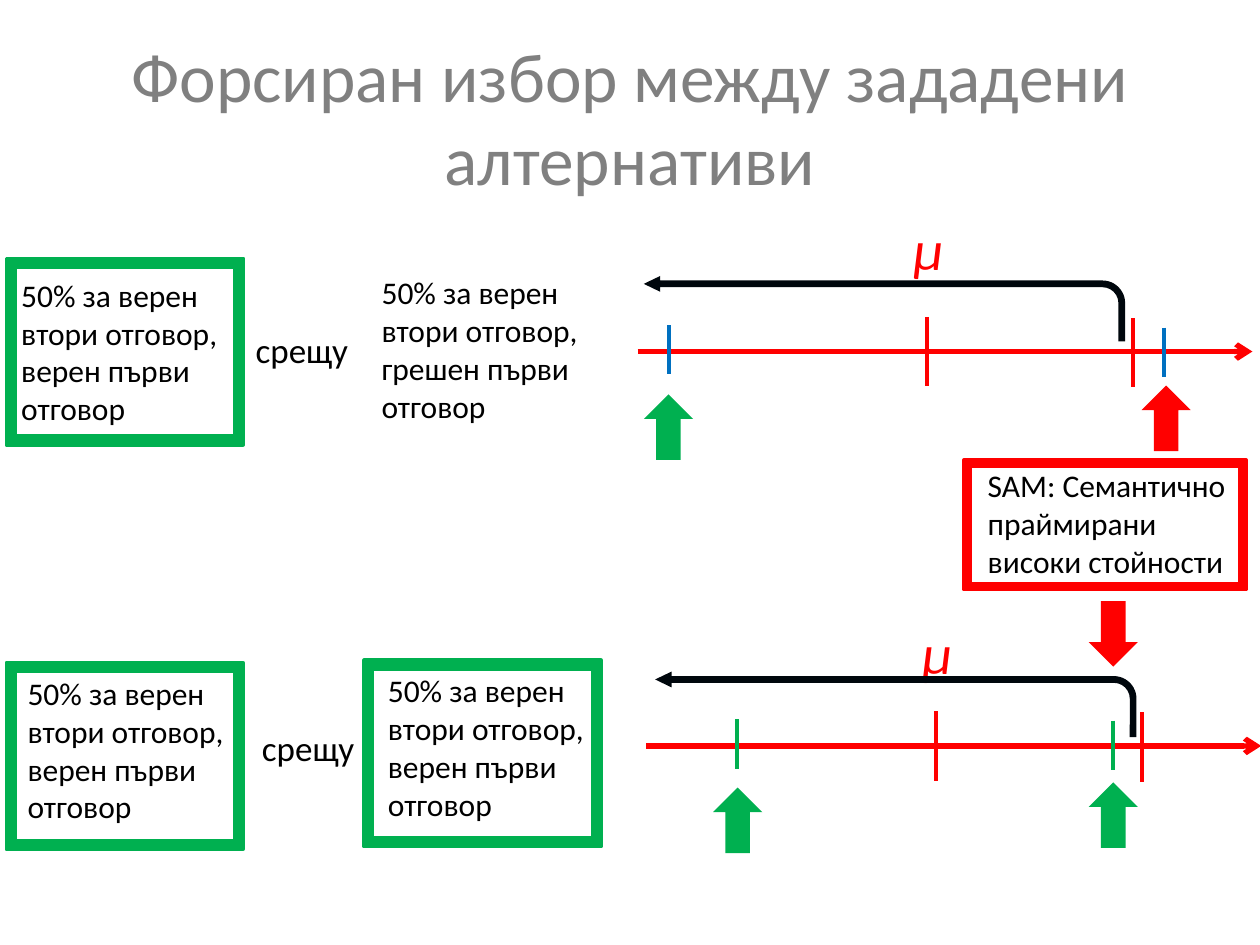
import pptx
import pptx.util
import pptx.dml.color
import pptx.enum.shapes
import pptx.enum.text
import pptx.oxml
import pptx.oxml.ns

COLORS = {"green": "00B050", "red": "FF0000", "blue": "0070C0",
          "grey": "808080", "black": "000000", "ink": "00070D"}
COLS, ROWS = 100, 75
SHAPE = pptx.enum.shapes.MSO_SHAPE


class Deck:
    font = "Calibri"

    def __init__(self):
        self.prs = pptx.Presentation()
        self.prs.slide_width = pptx.util.Inches(10)
        self.prs.slide_height = pptx.util.Inches(7.5)
        self.s = self.prs.slides.add_slide(self.prs.slide_layouts[5])

    def x(self, col):
        return round(self.prs.slide_width * col / COLS)

    def y(self, row):
        return round(self.prs.slide_height * row / ROWS)

    def box(self, x, y, w, h):
        return self.x(x), self.y(y), self.x(w), self.y(h)

    def color(self, name):
        return pptx.dml.color.RGBColor.from_string(COLORS[name])

    def set_text(self, tf, text, size, color, italic=False):
        tf.word_wrap = True
        tf.text = text
        f = tf.paragraphs[0].runs[0].font
        f.name, f.size, f.italic = self.font, pptx.util.Pt(size), italic
        f.color.rgb = self.color(color)

    def title(self, text, *at):
        sp = self.s.shapes.title
        sp.left, sp.top, sp.width, sp.height = self.box(*at)
        tf = sp.text_frame
        self.set_text(tf, text, 39.6, "grey")
        tf.auto_size = pptx.enum.text.MSO_AUTO_SIZE.NONE
        tf.vertical_anchor = pptx.enum.text.MSO_ANCHOR.MIDDLE
        tf.paragraphs[0].alignment = pptx.enum.text.PP_ALIGN.CENTER

    def text(self, text, *at, size=18, color="black", italic=False):
        sp = self.s.shapes.add_textbox(*self.box(*at))
        self.set_text(sp.text_frame, text, size, color, italic)

    def shape(self, kind, color, *at, adj=()):
        sp = self.s.shapes.add_shape(kind, *self.box(*at))
        sp.shadow.inherit = False
        sp.fill.solid()
        sp.fill.fore_color.rgb = self.color(color)
        sp.line.fill.background()
        for i, value in enumerate(adj):
            sp.adjustments[i] = value
        return sp

    def frame(self, color, *at):
        sp = self.shape(SHAPE.FRAME, color, *at, adj=[0.046])
        sp.line.color.rgb = self.color(color)
        sp.line.width = pptx.util.Pt(2)

    def pointer(self, color, x, y, rotation=0):
        self.shape(SHAPE.UP_ARROW, color, x, y, 3.9, 5.2).rotation = rotation

    def bent_arrow(self, x, y):
        sp = self.shape(SHAPE.BENT_ARROW, "ink", x, y, 38.2, 5.2,
                        adj=[0.103, 0.121, 0.25, 0.345])
        sp.element.spPr.find(pptx.oxml.ns.qn("a:xfrm")).set("flipH", "1")

    def line(self, color, x1, y1, x2, y2, width=2.25, arrow=False):
        c = self.s.shapes.add_connector(
            pptx.enum.shapes.MSO_CONNECTOR.STRAIGHT,
            self.x(x1), self.y(y1), self.x(x2), self.y(y2))
        c.line.color.rgb = self.color(color)
        c.line.width = pptx.util.Pt(width)
        spPr = c.element.spPr
        if arrow:
            ln = spPr.find(pptx.oxml.ns.qn("a:ln"))
            ln.append(pptx.oxml.parse_xml(
                f'<a:tailEnd {pptx.oxml.ns.nsdecls("a")} type="arrow"/>'))
        spPr.append(pptx.oxml.parse_xml(
            f'<a:effectLst {pptx.oxml.ns.nsdecls("a")}/>'))

    def tick(self, color, x, y, h):
        self.line(color, x, y, x, y + h)


def main():
    d = Deck()
    d.title("Форсиран избор между зададени алтернативи", 5, 3, 90, 12.5)

    # Answer alternatives
    right = "50% за верен втори отговор, верен първи отговор"
    wrong = "50% за верен втори отговор, грешен първи отговор"
    for text, x, y, w in [(right, 0.7, 21.4, 19), (wrong, 29.3, 21.2, 18.1),
                          (right, 1.2, 53, 20.5), (right, 29.8, 52.8, 21.1)]:
        d.text(text, x, y, w, 13.1)
    for x, y in [(19.3, 25.6), (19.8, 57.2)]:
        d.text("срещу", x, y, 10.2, 4.4, size=20)
    for x, y in [(0.5, 20.5), (0.5, 52.6), (28.9, 52.4)]:
        d.frame("green", x, y, 18.8, 14.8)

    # Number axes with mean, shift arrow and red limits
    for x, y, mu_y, bent_x, bent_y in [(50.6, 27.9, 16.5, 51.1, 21.9),
                                       (51.3, 59.2, 48.6, 52, 53.3)]:
        d.line("red", x, y, x + 48.8, y, width=3, arrow=True)
        d.tick("red", x + 23, y - 2.75, 5.5)
        d.tick("red", x + 39.3, y - 2.65, 5.5)
        d.text("μ", x + 20.9, mu_y, 4.1, 6.4, size=32, color="red", italic=True)
        d.bent_arrow(bent_x, bent_y)

    # Answer marks on the axes
    for color, x, y in [("blue", 53.1, 25.8), ("blue", 92.4, 26),
                        ("green", 58.5, 57.1), ("green", 88.3, 57.2)]:
        d.tick(color, x, y, 3.9)
    for color, x, y in [("green", 51.1, 31.3), ("green", 56.6, 62.5),
                        ("green", 86.4, 62.1), ("red", 90.6, 30.6)]:
        d.pointer(color, x, y)

    # Primed values
    d.text("SAM: Семантично праймирани високи стойности", 77.4, 36.5, 21.9, 10.1)
    d.frame("red", 76.5, 36.5, 22.4, 10.3)
    d.pointer("red", 86.4, 47.7, rotation=180)

    d.prs.save("out.pptx")


if __name__ == "__main__":
    main()
